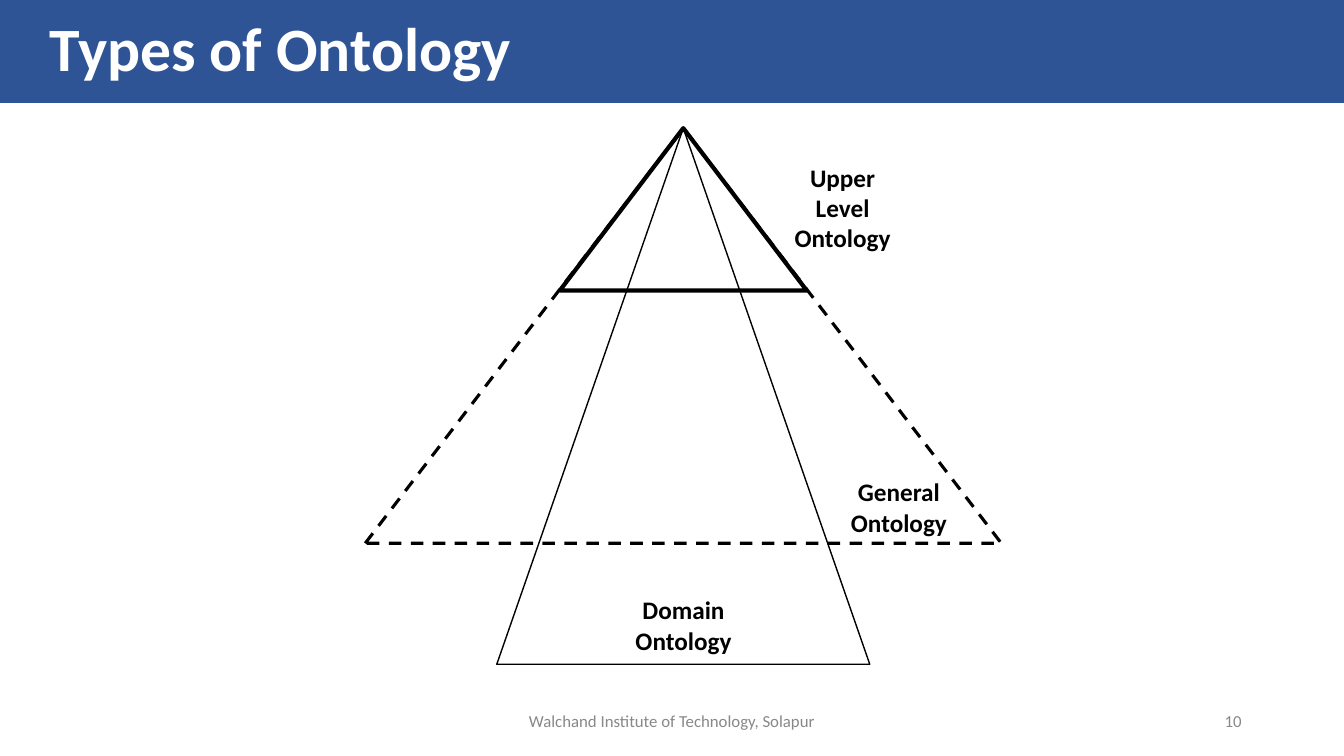
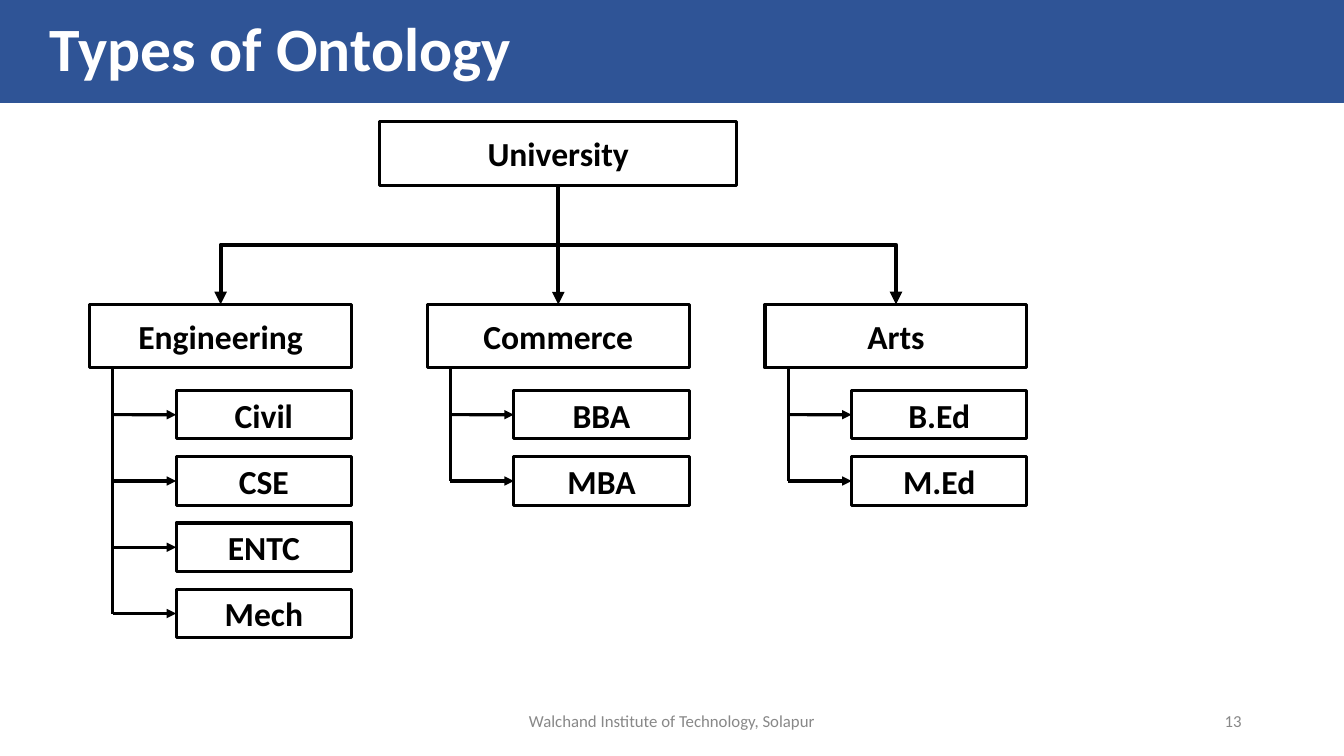
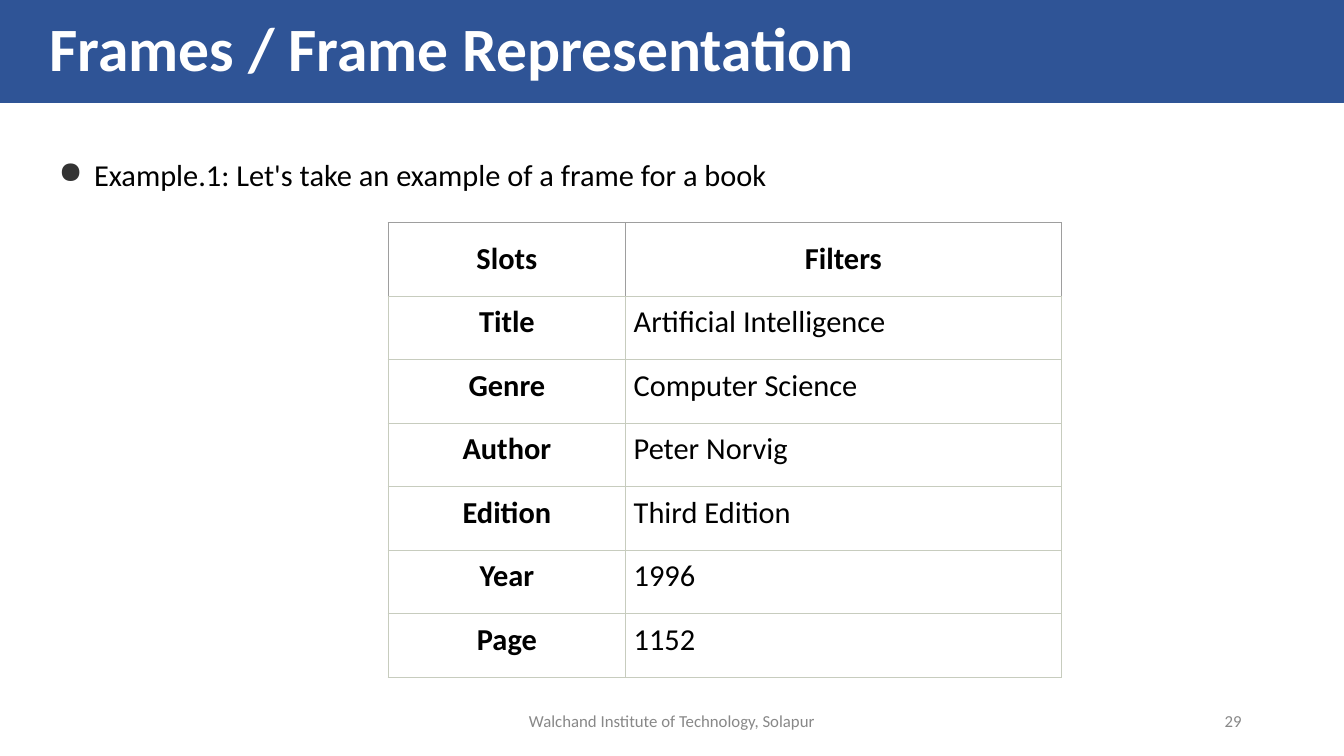
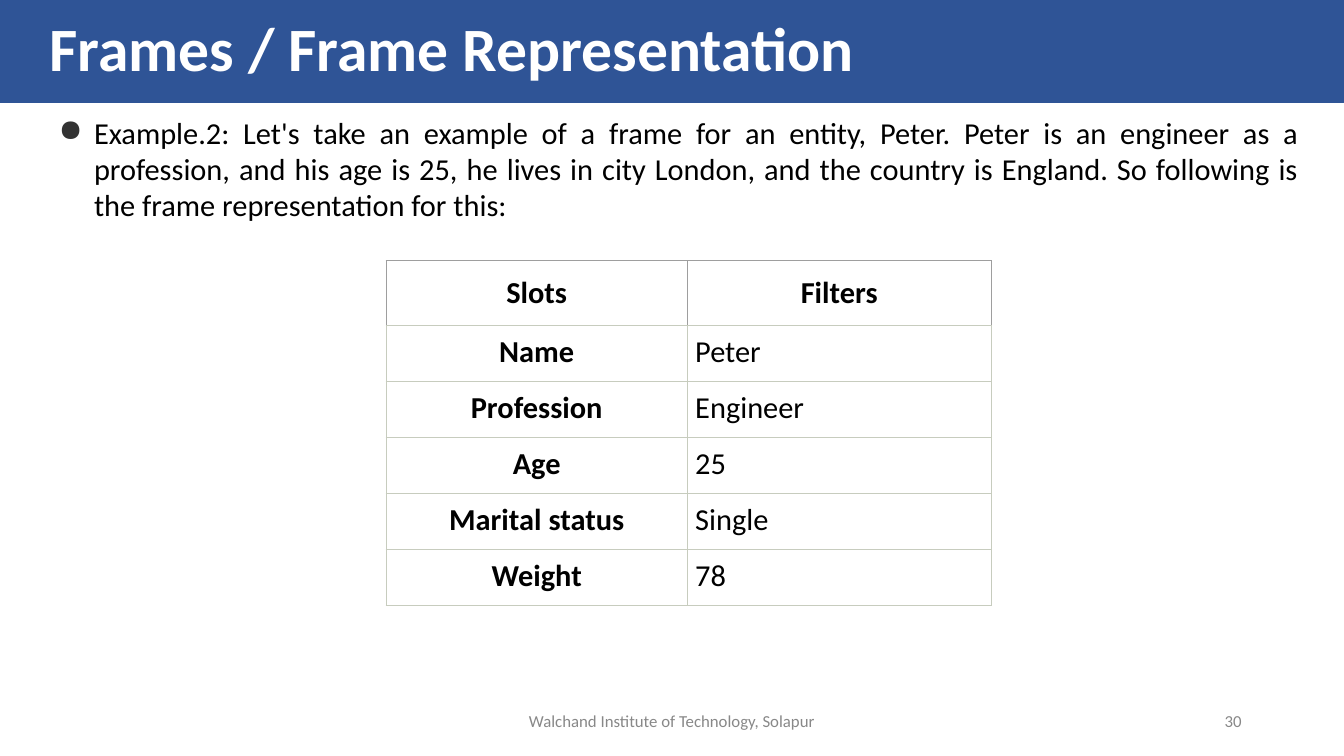
from dataclasses import dataclass

from lxml.etree import SubElement
from pptx import Presentation
from pptx.dml.color import RGBColor
from pptx.enum.shapes import MSO_CONNECTOR as LINK, MSO_SHAPE as SHAPE
from pptx.enum.dml import MSO_LINE
from pptx.enum.text import MSO_ANCHOR as ANCHOR, MSO_AUTO_SIZE, PP_ALIGN as ALIGN
from pptx.oxml.ns import qn
from pptx.util import Cm, Pt


@dataclass(frozen=True)
class Theme:
    font: str = "Calibri"
    band: str = "2F5496"
    white: str = "FFFFFF"
    ink: str = "000000"
    muted: str = "888888"
    bullet: str = "333333"
    head_rule: str = "9E9E9E"
    rule: str = "C7CCBE"
    title: float = 44
    node: float = 24
    body: float = 21.7
    label: float = 18
    footer: float = 12
    hairline: float = 0.75
    thin: float = 1
    medium: float = 2.25
    thick: float = 3


T = Theme()
WIDTH, HEIGHT = 33.87, 19.05
FOOTER = "Walchand Institute of Technology, Solapur"

APEX = (17.22, 3.23)
TRIANGLES = [
    dict(width=9.4, height=13.51, weight=T.thin, fill=T.white),
    dict(width=16.03, height=10.46, weight=T.medium, dash=MSO_LINE.DASH),
    dict(width=6.22, height=4.09, weight=T.thick),
]
LABELS = [
    (["General", "Ontology"], (21.18, 11.89, 2.95, 1.8)),
    (["Domain", "Ontology"], (15.75, 14.86, 2.95, 1.8)),
    (["Upper", "Level", "Ontology"], (19.76, 3.96, 2.95, 2.57)),
]

ROOT = "University"
COLLEGES = {
    "Engineering": ["Civil", "CSE", "ENTC", "Mech"],
    "Commerce": ["BBA", "MBA"],
    "Arts": ["B.Ed", "M.Ed"],
}

BOOK = dict(
    page=29,
    intro="Example.1: Let's take an example of a frame for a book",
    intro_top=3.81,
    at=(9.78, 5.61), cols=(5.99, 10.97), head=1.85, row=1.6,
    rows=[("Slots", "Filters"), ("Title", "Artificial Intelligence"),
          ("Genre", "Computer Science"), ("Author", "Peter Norvig"),
          ("Edition", "Third Edition"), ("Year", "1996"), ("Page", "1152")],
)
PERSON = dict(
    page=30,
    intro="Example.2: Let's take an example of a frame for an entity, Peter. "
          "Peter is an engineer as a profession, and his age is 25, he lives in "
          "city London, and the country is England. So following is the frame "
          "representation for this:",
    intro_top=2.74,
    at=(9.73, 6.57), cols=(7.59, 7.66), head=1.63, row=1.41,
    rows=[("Slots", "Filters"), ("Name", "Peter"), ("Profession", "Engineer"),
          ("Age", "25"), ("Marital status", "Single"), ("Weight", "78")],
)


def cms(*values):
    return [Cm(v) for v in values]


def rgb(color):
    return RGBColor.from_string(color)


def write(tf, lines, size, color=T.ink, bold=False, align=ALIGN.LEFT,
          anchor=ANCHOR.TOP, spacing=None, margin=0, indent=0, bullet=None):
    tf.word_wrap = True
    tf.vertical_anchor = anchor
    for i, line in enumerate(lines):
        p = tf.paragraphs[0] if i == 0 else tf.add_paragraph()
        p.alignment = align
        if spacing:
            p.line_spacing = spacing
        pPr = p._p.get_or_add_pPr()
        pPr.set("marL", str(Cm(margin)))
        pPr.set("indent", str(Cm(indent)))
        if bullet:
            clr = SubElement(pPr, qn("a:buClr"))
            SubElement(clr, qn("a:srgbClr"), val=T.bullet)
            SubElement(pPr, qn("a:buChar"), char=bullet)
        r = p.add_run()
        r.text = line
        r.font.name, r.font.size, r.font.bold = T.font, Pt(size), bold
        r.font.color.rgb = rgb(color)


def add_text(s, at, lines, side=0.25, **fmt):
    tf = s.shapes.add_textbox(*cms(*at)).text_frame
    tf.margin_left = tf.margin_right = Cm(side)
    write(tf, lines, **fmt)


def add_outline(s, kind, at, weight, fill=None, dash=None):
    sp = s.shapes.add_shape(kind, *cms(*at))
    sp.shadow.inherit = False
    if fill:
        sp.fill.solid()
        sp.fill.fore_color.rgb = rgb(fill)
    else:
        sp.fill.background()
    sp.line.color.rgb = rgb(T.ink)
    sp.line.width = Pt(weight)
    if dash:
        sp.line.dash_style = dash
    return sp


def add_node(s, at, text):
    sp = add_outline(s, SHAPE.RECTANGLE, at, T.medium, T.white)
    write(sp.text_frame, [text], size=T.node, bold=True,
          align=ALIGN.CENTER, anchor=ANCHOR.MIDDLE)
    return sp


def add_line(s, start, end, weight, arrow=True, kind=LINK.STRAIGHT):
    c = s.shapes.add_connector(kind, *cms(*start, *end))
    c.line.color.rgb = rgb(T.ink)
    c.line.width = Pt(weight)
    if arrow:
        SubElement(c.line._get_or_add_ln(), qn("a:tailEnd"), type="triangle")
    SubElement(c._element.spPr, qn("a:effectLst"))
    return c


def add_branch(s, parent, child, start, end):
    (x1, y1), (x2, y2) = start, end
    bent = x1 != x2
    c = add_line(s, start, end, T.thick, kind=LINK.ELBOW if bent else LINK.STRAIGHT)
    c.begin_connect(parent, 2)
    c.end_connect(child, 0)
    if bent:
        w, h = y2 - y1, abs(x2 - x1)
        c.left, c.top, c.width, c.height = cms(
            (x1 + x2 - w) / 2, (y1 + y2 - h) / 2, w, h)
        xfrm = c._element.spPr.find(qn("a:xfrm"))
        xfrm.set("rot", str((90 if x2 < x1 else 270) * 60000))
        xfrm.set("flipH", "0" if x2 < x1 else "1")
        xfrm.set("flipV", "0")


def add_slide(prs, title, page):
    s = prs.slides.add_slide(prs.slide_layouts[5])
    sp = s.shapes.title
    sp.left, sp.top, sp.width, sp.height = cms(0, 0, WIDTH, 2.59)
    sp.fill.solid()
    sp.fill.fore_color.rgb = rgb(T.band)
    sp.line.color.rgb = rgb(T.band)
    sp.line.width = Pt(T.hairline)
    sp.text_frame.auto_size = MSO_AUTO_SIZE.NONE
    write(sp.text_frame, [title], size=T.title, color=T.white, bold=True,
          anchor=ANCHOR.MIDDLE, spacing=0.9, margin=1)
    for at, text, align in [((11.22, 17.66, 11.43, 1.01), FOOTER, ALIGN.CENTER),
                            ((23.92, 17.66, 7.62, 1.01), str(page), ALIGN.RIGHT)]:
        add_text(s, at, [text], size=T.footer, color=T.muted,
                 align=align, anchor=ANCHOR.MIDDLE)
    return s


def pyramid_slide(prs):
    s = add_slide(prs, "Types of Ontology", 10)
    x, y = APEX
    for t in TRIANGLES:
        add_outline(s, SHAPE.ISOSCELES_TRIANGLE,
                    (x - t["width"] / 2, y, t["width"], t["height"]),
                    t["weight"], t.get("fill"), t.get("dash"))
    for lines, at in LABELS:
        add_text(s, at, lines, side=0.05, size=T.label, bold=True, align=ALIGN.CENTER)


def tree_slide(prs):
    s = add_slide(prs, "Types of Ontology", 13)
    left, pitch, width, height = 2.26, 8.51, 6.6, 1.6
    root_top, root_width, college_top = 3.07, 9, 7.67
    course_top, course_pitch, course_width, course_height = 9.84, 1.67, 4.42, 1.22
    trunk_inset = 0.58
    center = left + pitch + width / 2
    root = add_node(s, (center - root_width / 2, root_top, root_width, height), ROOT)
    for i, (college, courses) in enumerate(COLLEGES.items()):
        x = left + i * pitch
        box = add_node(s, (x, college_top, width, height), college)
        middle = center + (i - 1) * pitch
        add_branch(s, root, box, (center, root_top + height), (middle, college_top))
        trunk = x + trunk_inset
        course_left = x + width - course_width
        for j, course in enumerate(courses):
            y = course_top + j * course_pitch
            node = add_node(s, (course_left, y, course_width, course_height), course)
            arm = y + course_height / 2
            add_line(s, (trunk, arm), (course_left, arm), T.medium).end_connect(node, 1)
        add_line(s, (trunk, college_top + height), (trunk, arm), T.medium, arrow=False)


def style_cell(cell, text, header, key):
    inset = Cm(0.3 if header else 0.2)
    cell.margin_left = cell.margin_right = inset
    cell.margin_top = cell.margin_bottom = inset
    tcPr = cell._tc.get_or_add_tcPr()
    for side in "LRTB":
        ln = SubElement(tcPr, qn(f"a:ln{side}"), w=str(Pt(T.hairline)))
        color = T.head_rule if header and side != "B" else T.rule
        SubElement(SubElement(ln, qn("a:solidFill")), qn("a:srgbClr"), val=color)
    cell.fill.solid()
    cell.fill.fore_color.rgb = rgb(T.white)
    strong = header or key
    write(cell.text_frame, [text], size=T.body, bold=strong,
          align=ALIGN.CENTER if strong else ALIGN.JUSTIFY)
    cell.vertical_anchor = ANCHOR.MIDDLE if header else ANCHOR.TOP


def frame_slide(prs, frame):
    s = add_slide(prs, "Frames / Frame Representation", frame["page"])
    add_text(s, (0.85, frame["intro_top"], 32.13, 3), [frame["intro"]], size=T.body,
             align=ALIGN.JUSTIFY, margin=1.27, indent=-0.89, bullet="●")
    rows, cols = frame["rows"], frame["cols"]
    heights = [frame["head"]] + [frame["row"]] * (len(rows) - 1)
    table = s.shapes.add_table(len(rows), len(cols), *cms(
        *frame["at"], sum(cols), sum(heights))).table
    table.horz_banding = False
    for column, w in zip(table.columns, cols):
        column.width = Cm(w)
    for i, (row, h) in enumerate(zip(rows, heights)):
        table.rows[i].height = Cm(h)
        for j, text in enumerate(row):
            style_cell(table.cell(i, j), text, header=i == 0, key=j == 0)


def main():
    prs = Presentation()
    prs.slide_width, prs.slide_height = cms(WIDTH, HEIGHT)
    pyramid_slide(prs)
    tree_slide(prs)
    for frame in (BOOK, PERSON):
        frame_slide(prs, frame)
    prs.save("out.pptx")


if __name__ == "__main__":
    main()
